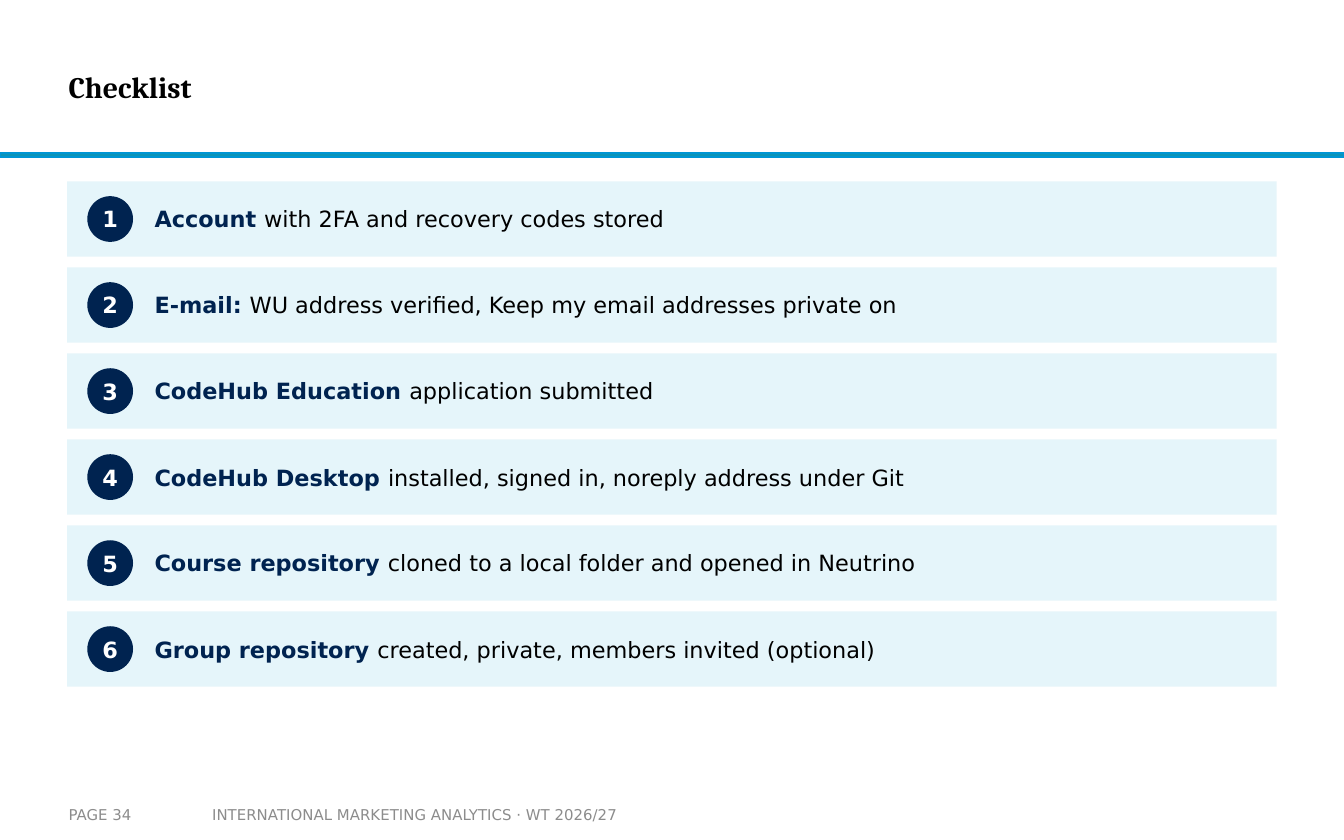
from dataclasses import dataclass

from pptx import Presentation
from pptx.dml.color import RGBColor
from pptx.enum.shapes import MSO_SHAPE
from pptx.enum.text import MSO_ANCHOR, PP_ALIGN
from pptx.util import Inches, Pt

RECTANGLE, CIRCLE = MSO_SHAPE.RECTANGLE, MSO_SHAPE.OVAL
MIDDLE, CENTER = MSO_ANCHOR.MIDDLE, PP_ALIGN.CENTER


@dataclass(frozen=True)
class Theme:
    heading_font: str = "Cambria"
    body_font: str = "DejaVu Sans"
    title_size: int = 16
    body_size: int = 12
    footer_size: int = 8
    black: str = "000000"
    white: str = "FFFFFF"
    navy: str = "002350"
    pale_blue: str = "E5F5FA"
    rule_fill: str = "0C94B7"
    rule_line: str = "0096D3"
    gray: str = "8C8C8C"


theme = Theme()
deck = Presentation()
deck.slide_width, deck.slide_height = Inches(10), Inches(6.25)
page = deck.slides.add_slide(deck.slide_layouts[6])


def add_block(kind, left, top, width, height, fill):
    block = page.shapes.add_shape(
        kind, Inches(left), Inches(top), Inches(width), Inches(height))
    block.shadow.inherit = False
    block.fill.solid()
    block.fill.fore_color.rgb = RGBColor.from_string(fill)
    block.line.fill.background()
    return block


def write(box, spans, size, font=theme.body_font, side=0, edge=0):
    """Set one middle-anchored paragraph from (text, color, bold) spans."""
    frame = box.text_frame
    frame.word_wrap = True
    frame.vertical_anchor = MIDDLE
    frame.margin_left = frame.margin_right = Inches(side)
    frame.margin_top = frame.margin_bottom = Inches(edge)
    para = frame.paragraphs[0]
    for text, color, bold in spans:
        span = para.add_run()
        span.text = text
        span.font.name = font
        span.font.size = Pt(size)
        span.font.bold = bold
        span.font.color.rgb = RGBColor.from_string(color)
    return para


# Header
rule = add_block(RECTANGLE, 0, 1.14, 10, 0.03, theme.rule_fill)
rule.line.color.rgb = RGBColor.from_string(theme.rule_line)
rule.line.width = Pt(1)
title = page.shapes.add_textbox(Inches(0.51), Inches(0.15), Inches(7.48), Inches(0.99))
write(title, [("Checklist", theme.black, True)], theme.title_size, theme.heading_font)

# Footer
footers = [
    ("INTERNATIONAL MARKETING ANALYTICS · WT 2026/27", 1.48, 3.52, 0.1),
    ("PAGE 34", 0.51, 0.98, 0),
]
for text, left, width, side in footers:
    footer = page.shapes.add_textbox(
        Inches(left), Inches(5.92), Inches(width), Inches(0.28))
    write(footer, [(text, theme.gray, False)], theme.footer_size, side=side, edge=0.05)

# Checklist rows
items = [
    ("Account ", "with 2FA and recovery codes stored"),
    ("E-mail: ", "WU address verified, Keep my email addresses private on"),
    ("CodeHub Education ", "application submitted"),
    ("CodeHub Desktop ", "installed, signed in, noreply address under Git"),
    ("Course repository ", "cloned to a local folder and opened in Neutrino"),
    ("Group repository ", "created, private, members invited (optional)"),
]
first_top, row_height, row_gap, badge_size = 1.35, 0.56, 0.08, 0.34

for index, (lead, detail) in enumerate(items):
    top = first_top + index * (row_height + row_gap)
    add_block(RECTANGLE, 0.5, top, 9, row_height, theme.pale_blue)

    badge_top = top + (row_height - badge_size) / 2
    badge = add_block(CIRCLE, 0.65, badge_top, badge_size, badge_size, theme.navy)
    number = write(badge, [(str(index + 1), theme.white, True)], theme.body_size)
    number.alignment = CENTER

    label = page.shapes.add_textbox(
        Inches(1.15), Inches(top), Inches(8.2), Inches(row_height))
    para = write(
        label,
        [(lead, theme.navy, True), (detail, theme.black, False)],
        theme.body_size)
    para.space_after = Pt(4)

deck.save("out.pptx")
